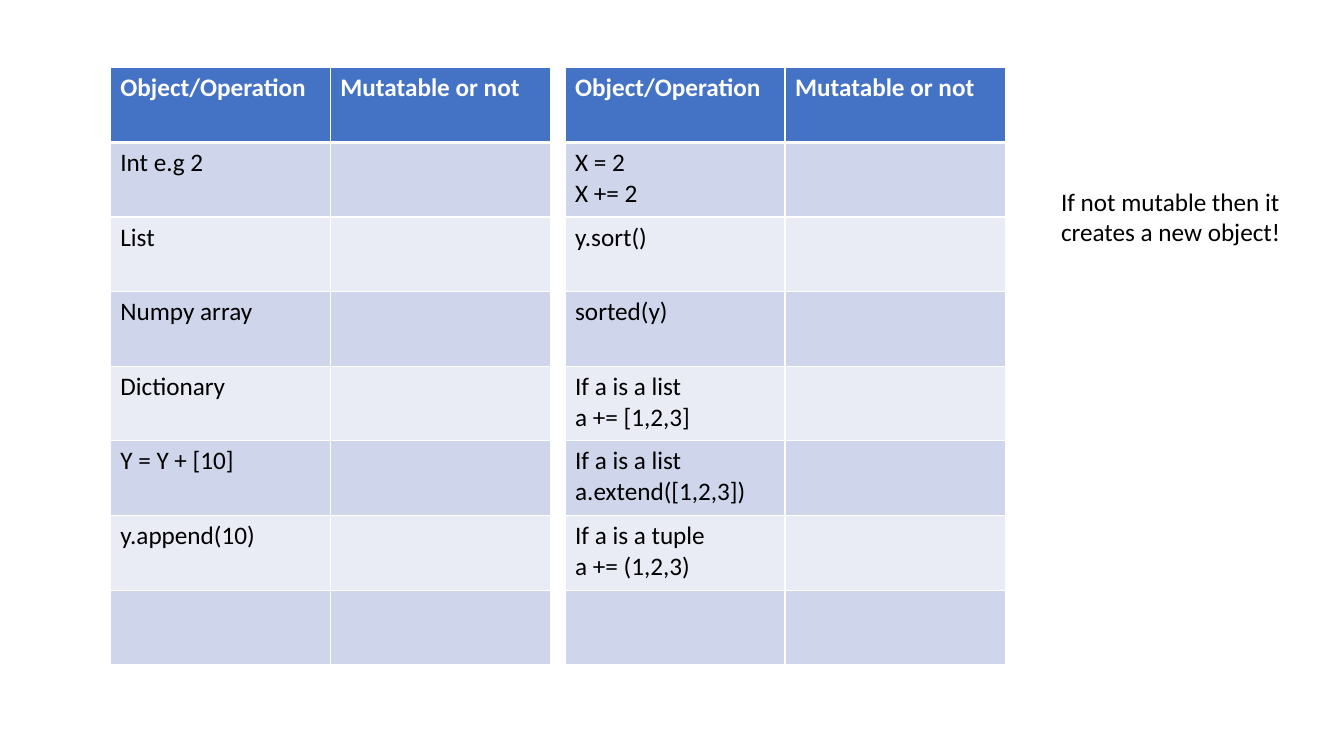
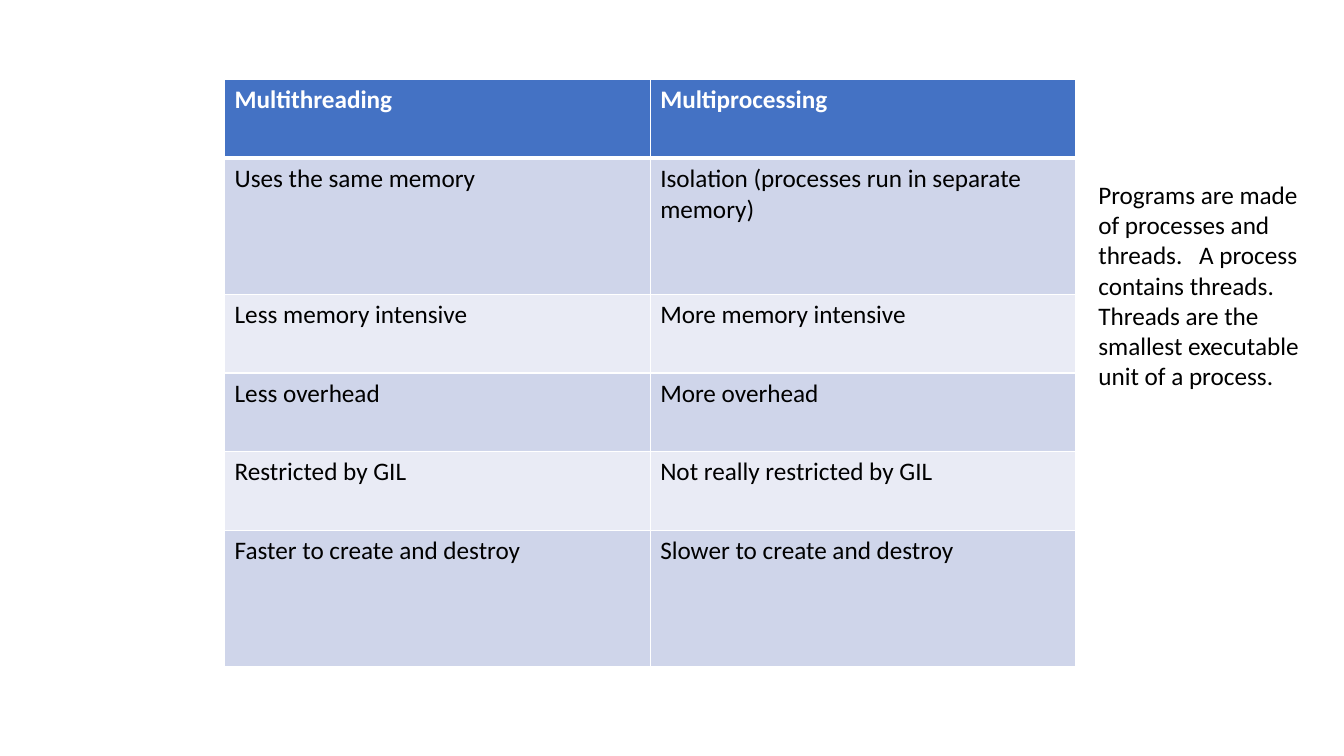
from dataclasses import dataclass

from lxml.etree import SubElement
from pptx import Presentation
from pptx.dml.color import RGBColor
from pptx.enum.text import MSO_AUTO_SIZE
from pptx.oxml.ns import qn
from pptx.util import Cm, Pt


@dataclass(frozen=True)
class Theme:
    head: str = "4472C4"
    dark: str = "CFD5EA"
    pale: str = "E9EBF5"
    white: str = "FFFFFF"
    black: str = "000000"
    font: str = "Calibri"
    size: int = 18
    thin: int = 1
    thick: int = 3


THEME = Theme()


def write(frame, text, color, bold=False):
    for index, line in enumerate(text.split("\n")):
        para = frame.paragraphs[0] if index == 0 else frame.add_paragraph()
        run = para.add_run()
        run.text = line
        run.font.name = THEME.font
        run.font.size = Pt(THEME.size)
        run.font.bold = bold
        run.font.color.rgb = RGBColor.from_string(color)


def edge(cell, row):
    props = cell._tc.get_or_add_tcPr()
    top = THEME.thick if row == 1 else THEME.thin
    base = THEME.thick if row == 0 else THEME.thin
    sides = {"L": THEME.thin, "R": THEME.thin, "T": top, "B": base}
    for side, width in sides.items():
        line = SubElement(props, qn(f"a:ln{side}"), w=str(Pt(width)))
        fill = SubElement(line, qn("a:solidFill"))
        SubElement(fill, qn("a:srgbClr"), val=THEME.white)


def draw_grid(slide, left, top, width, heights, rows):
    count = len(rows[0])
    table = slide.shapes.add_table(
        len(rows), count, Cm(left), Cm(top), Cm(width), Cm(sum(heights))
    ).table
    for col in table.columns:
        col.width = Cm(width / count)
    for index, (texts, height) in enumerate(zip(rows, heights)):
        table.rows[index].height = Cm(height)
        is_head = index == 0
        shade = THEME.head if is_head else (THEME.pale, THEME.dark)[index % 2]
        ink = THEME.white if is_head else THEME.black
        for cell, text in zip(table.rows[index].cells, texts):
            edge(cell, index)
            cell.fill.solid()
            cell.fill.fore_color.rgb = RGBColor.from_string(shade)
            if text:
                write(cell.text_frame, text, ink, is_head)


def draw_note(slide, left, top, width, height, text):
    frame = slide.shapes.add_textbox(
        Cm(left), Cm(top), Cm(width), Cm(height)
    ).text_frame
    frame.word_wrap = True
    frame.auto_size = MSO_AUTO_SIZE.SHAPE_TO_FIT_TEXT
    write(frame, text, THEME.black)


def draw_quiz(slide, left, top, width, gap):
    heads = ("Object/Operation", "Mutatable or not")
    lists = (
        ("Int e.g 2", "List", "Numpy array", "Dictionary ",
         "Y = Y + [10]", "y.append(10)", ""),
        ("X = 2\nX += 2", "y.sort()", "sorted(y)",
         "If a is a list\na += [1,2,3]",
         "If a is a list\na.extend([1,2,3])",
         "If a is a tuple\na += (1,2,3)", ""),
    )
    for index, items in enumerate(lists):
        rows = [heads] + [(item, "") for item in items]
        draw_grid(slide, left + index * (width + gap), top, width,
                  [1.88] * len(rows), rows)
    draw_note(slide, 26.49, 4.57, 6.43, 1.8,
              "If not mutable then it creates a new object!")


def draw_threads(slide, left, top, width):
    rows = (
        ("Multithreading", "Multiprocessing"),
        ("Uses the same memory",
         "Isolation (processes run in separate memory)"),
        ("Less memory intensive", "More memory intensive"),
        ("Less overhead", "More overhead"),
        ("Restricted by GIL ", "Not really restricted by GIL"),
        ("Faster to create and destroy", "Slower to create and destroy"),
    )
    low, tall = 1.98, 3.43
    draw_grid(slide, left, top, width, (low, tall, low, low, low, tall), rows)
    draw_note(slide, 27.43, 4.39, 5.79, 5.64,
              "Programs are made of processes and threads.\tA process contains "
              "threads. Threads are the smallest executable unit of a process.")


deck = Presentation()
deck.slide_width, deck.slide_height = Cm(33.87), Cm(19.05)
blank = deck.slide_layouts[6]
draw_quiz(deck.slides.add_slide(blank), 2.78, 1.71, 11.09, 0.37)
draw_threads(deck.slides.add_slide(blank), 5.66, 2.01, 21.45)
deck.save("out.pptx")
